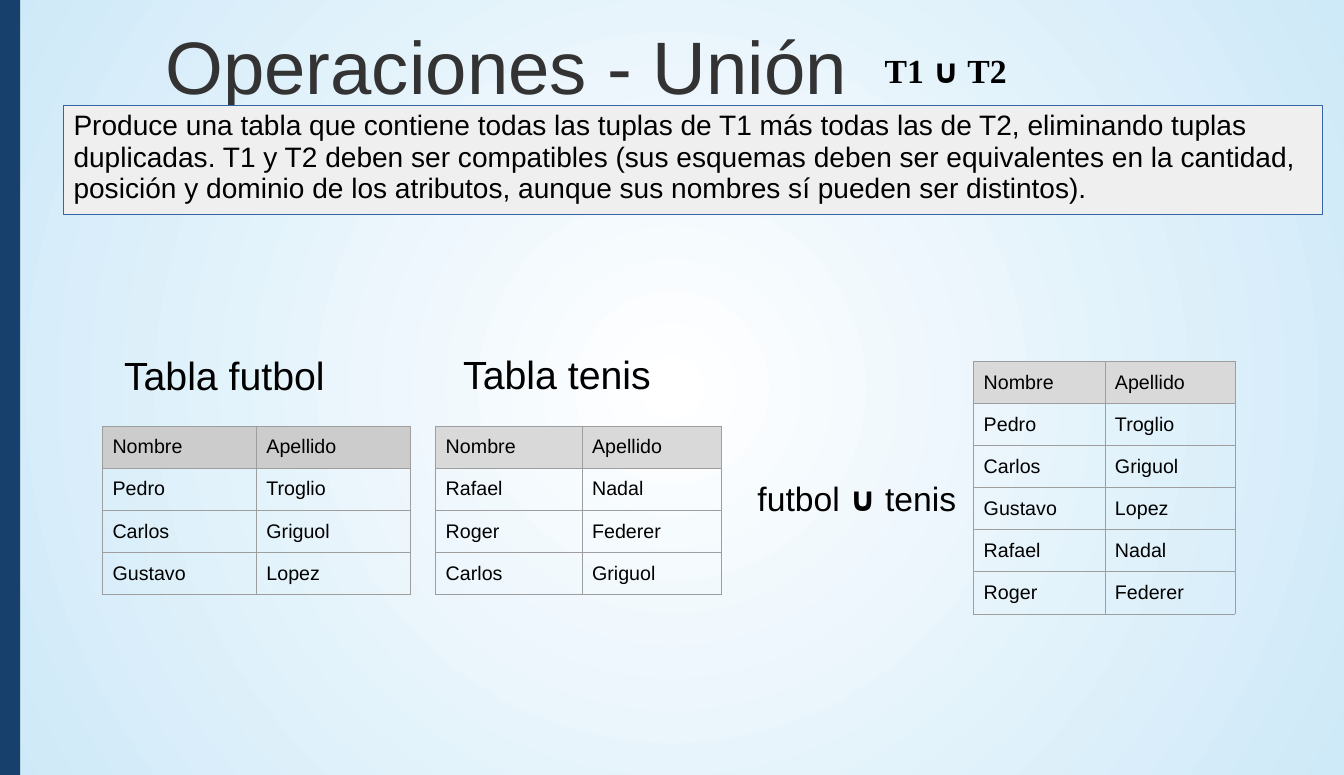
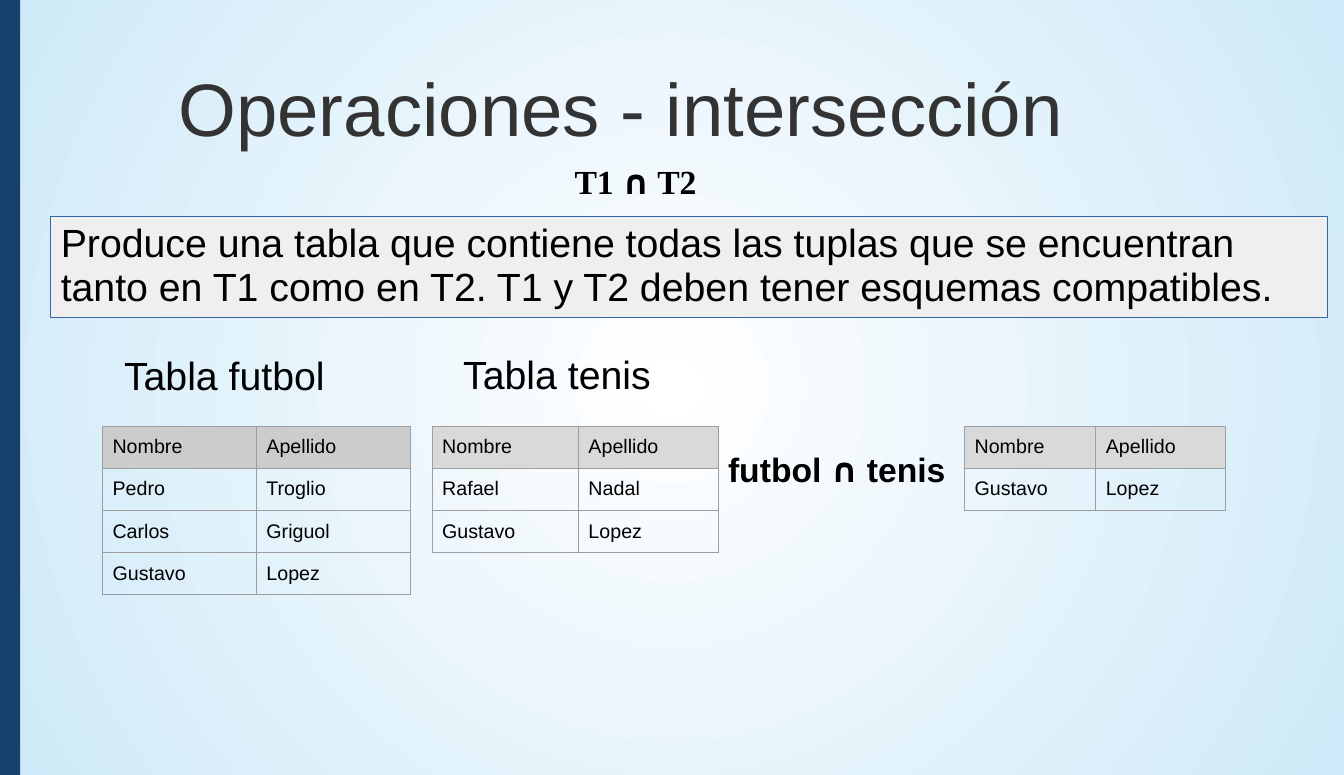
from dataclasses import dataclass

from lxml import etree
from pptx import Presentation
from pptx.dml.color import RGBColor
from pptx.enum.shapes import MSO_SHAPE
from pptx.enum.text import MSO_ANCHOR, MSO_AUTO_SIZE, PP_ALIGN
from pptx.oxml.ns import qn
from pptx.util import Cm, Pt

RECTANGLE = MSO_SHAPE.RECTANGLE
TOP, MIDDLE = MSO_ANCHOR.TOP, MSO_ANCHOR.MIDDLE
NO_AUTOFIT = MSO_AUTO_SIZE.NONE
LEFT = PP_ALIGN.LEFT
TITLE_ONLY = 5


@dataclass(frozen=True)
class Theme:
    width: float = 33.8
    height: float = 19.5
    stripe_width: float = 0.51
    row_height: float = 1.06
    font: str = "Arial"
    formula_font: str = "Times New Roman"
    symbol_font: str = "Open Sans"
    title_size: int = 53
    label_size: int = 28
    formula_size: int = 24
    cell_size: int = 14
    text: str = "000000"
    title: str = "333333"
    stripe: str = "17406D"
    panel: str = "EFEFEF"
    panel_line: str = "3465A4"
    first_header: str = "CCCCCC"
    header: str = "D9D9D9"
    border: str = "9E9E9E"
    glow_centre: str = "FFFFFF"
    glow_edge: str = "CEE9F8"


THEME = Theme()
HEADINGS = ("Nombre", "Apellido")
PEDRO, CARLOS, GUSTAVO = ("Pedro", "Troglio"), ("Carlos", "Griguol"), ("Gustavo", "Lopez")
RAFAEL, ROGER = ("Rafael", "Nadal"), ("Roger", "Federer")
FOOTBALL = (PEDRO, CARLOS, GUSTAVO)


def rgb(value):
    return RGBColor.from_string(value)


def lengths(values):
    return [Cm(value) for value in values]


def write_text(frame, spans, size, font=THEME.font, bold=False, color=THEME.text,
               spacing=None, insets=(0.25, 0.13), anchor=TOP):
    """Fill a frame with one paragraph; spans is a string or (text, font, bold) triples."""
    frame.word_wrap = True
    frame.auto_size = NO_AUTOFIT
    frame.vertical_anchor = anchor
    frame.margin_left = frame.margin_right = Cm(insets[0])
    frame.margin_top = frame.margin_bottom = Cm(insets[1])
    para = frame.paragraphs[0]
    para.alignment = LEFT
    if spacing:
        para.line_spacing = spacing
    if isinstance(spans, str):
        spans = [(spans, font, bold)]
    for text, face, is_bold in spans:
        add_span(para, text, size, face, is_bold, color)


def add_span(para, text, size, face=THEME.font, bold=False, color=THEME.text):
    span = para.add_run()
    span.text = text
    span.font.size = Pt(size)
    span.font.bold = bold
    span.font.color.rgb = rgb(color)
    span.font.name = face
    for script in ("a:ea", "a:cs"):
        etree.SubElement(span.font._element, qn(script), typeface=face)


def add_text(slide, spans, box, size, **text_format):
    text_box = slide.shapes.add_textbox(*lengths(box))
    write_text(text_box.text_frame, spans, size, **text_format)


def add_rectangle(slide, box, fill, line=None):
    shape = slide.shapes.add_shape(RECTANGLE, *lengths(box))
    shape.shadow.inherit = False
    shape.fill.solid()
    shape.fill.fore_color.rgb = rgb(fill)
    if line:
        shape.line.color.rgb = rgb(line)
        shape.line.width = Pt(0.75)
    else:
        shape.line.fill.background()
    return shape


def add_description(slide, text, box, size):
    panel = add_rectangle(slide, box, THEME.panel, THEME.panel_line)
    write_text(panel.text_frame, text, size, spacing=0.93)


def add_borders(cell):
    properties = cell._tc.get_or_add_tcPr()
    for side in ("a:lnL", "a:lnR", "a:lnT", "a:lnB"):
        line = etree.SubElement(properties, qn(side), w=str(Pt(0.75)))
        fill = etree.SubElement(line, qn("a:solidFill"))
        etree.SubElement(fill, qn("a:srgbClr"), val=THEME.border)


def add_people_table(slide, people, left, top, widths, header=THEME.header):
    rows = (HEADINGS, *people)
    box = (left, top, sum(widths), THEME.row_height * len(rows))
    table = slide.shapes.add_table(len(rows), len(widths), *lengths(box)).table
    table.first_row = table.horz_banding = False
    for column, width in zip(table.columns, widths):
        column.width = Cm(width)
    for row_index, row in enumerate(rows):
        table.rows[row_index].height = Cm(THEME.row_height)
        for column_index, text in enumerate(row):
            cell = table.cell(row_index, column_index)
            cell.margin_left = cell.margin_right = Cm(0.25)
            cell.margin_top = cell.margin_bottom = Cm(0.25)
            add_span(cell.text_frame.paragraphs[0], text, THEME.cell_size)
            add_borders(cell)
            if row_index == 0:
                cell.fill.solid()
                cell.fill.fore_color.rgb = rgb(header)
            else:
                cell.fill.background()


def set_background(master):
    """Give the master a round glow that spreads from the centre."""
    fill = master.background.fill
    fill.gradient()
    for stop, color in zip(fill.gradient_stops, (THEME.glow_centre, THEME.glow_edge)):
        stop.color.rgb = rgb(color)
    gradient = master.element.find(".//" + qn("p:bg")).find(".//" + qn("a:gradFill"))
    gradient.remove(gradient.find(qn("a:lin")))
    circle = etree.SubElement(gradient, qn("a:path"))
    circle.set("path", "circle")
    etree.SubElement(circle, qn("a:fillToRect"), l="50000", t="50000", r="50000", b="50000")


def add_slide(deck, title, left, top):
    slide = deck.slides.add_slide(deck.slide_layouts[TITLE_ONLY])
    add_rectangle(slide, (0, 0, THEME.stripe_width, THEME.height), THEME.stripe)
    holder = slide.shapes.title
    holder.left, holder.top, holder.width, holder.height = lengths((left, top, 30.15, 2.82))
    write_text(holder.text_frame, title, THEME.title_size, color=THEME.title,
               spacing=0.87, insets=(0.3, 0.15), anchor=MIDDLE)
    return slide


def add_formula(slide, symbol, box):
    spans = [("T1 ", THEME.formula_font, True), (symbol, THEME.symbol_font, True),
             (" T2", THEME.formula_font, True)]
    add_text(slide, spans, box, THEME.formula_size, spacing=0.96)


def add_operation(slide, symbol, box, bold=False):
    spans = [("futbol ", THEME.font, bold), (symbol + " ", THEME.symbol_font, True),
             ("tenis", THEME.font, bold)]
    add_text(slide, spans, box, THEME.formula_size, spacing=0.96)


def add_operands(slide, tennis, tennis_left):
    """Add the two labelled source tables."""
    add_text(slide, "Tabla futbol", (2.87, 8.81, 6.93, 1.42), THEME.label_size, spacing=0.93)
    add_text(slide, "Tabla tenis", (11.4, 8.8, 7.01, 1.19), THEME.label_size, spacing=0.93)
    add_people_table(slide, FOOTBALL, 2.58, 10.72, (3.87, 3.86), THEME.first_header)
    add_people_table(slide, tennis, tennis_left, 10.72, (3.68, 3.51))


def add_result(slide, people, left, top):
    add_people_table(slide, people, left, top, (3.3, 3.27))


def add_union_slide(deck):
    slide = add_slide(deck, "Operaciones - Unión", 3.86, 0.38)
    add_formula(slide, "∪", (22, 1.19, 4.98, 1.19))
    add_description(
        slide,
        "Produce una tabla que contiene todas las tuplas de T1 más todas las de T2, "
        "eliminando tuplas duplicadas. T1 y T2 deben ser compatibles (sus esquemas "
        "deben ser equivalentes en la cantidad, posición y dominio de los atributos, "
        "aunque sus nombres sí pueden ser distintos).",
        (1.6, 2.66, 31.67, 2.74), 20)
    add_operands(slide, (RAFAEL, ROGER, CARLOS), 10.96)
    add_operation(slide, "∪", (18.8, 11.96, 6.81, 2.24))
    add_result(slide, (*FOOTBALL, RAFAEL, ROGER), 24.49, 9.09)


def add_intersection_slide(deck):
    slide = add_slide(deck, "Operaciones - intersección", 4.19, 1.45)
    add_formula(slide, "∩", (14.2, 3.99, 4.6, 1.27))
    add_description(
        slide,
        "Produce una tabla que contiene todas las tuplas que se encuentran tanto en T1 "
        "como en T2. T1 y T2 deben tener esquemas compatibles.",
        (1.28, 5.46, 32.11, 2.54), 28)
    add_operands(slide, (RAFAEL, GUSTAVO), 10.87)
    add_operation(slide, "∩", (18.06, 11.23, 6.43, 2.24), bold=True)
    add_result(slide, (GUSTAVO,), 24.26, 10.72)


def main():
    deck = Presentation()
    deck.slide_width, deck.slide_height = lengths((THEME.width, THEME.height))
    set_background(deck.slide_master)
    add_union_slide(deck)
    add_intersection_slide(deck)
    deck.save("out.pptx")


if __name__ == "__main__":
    main()
